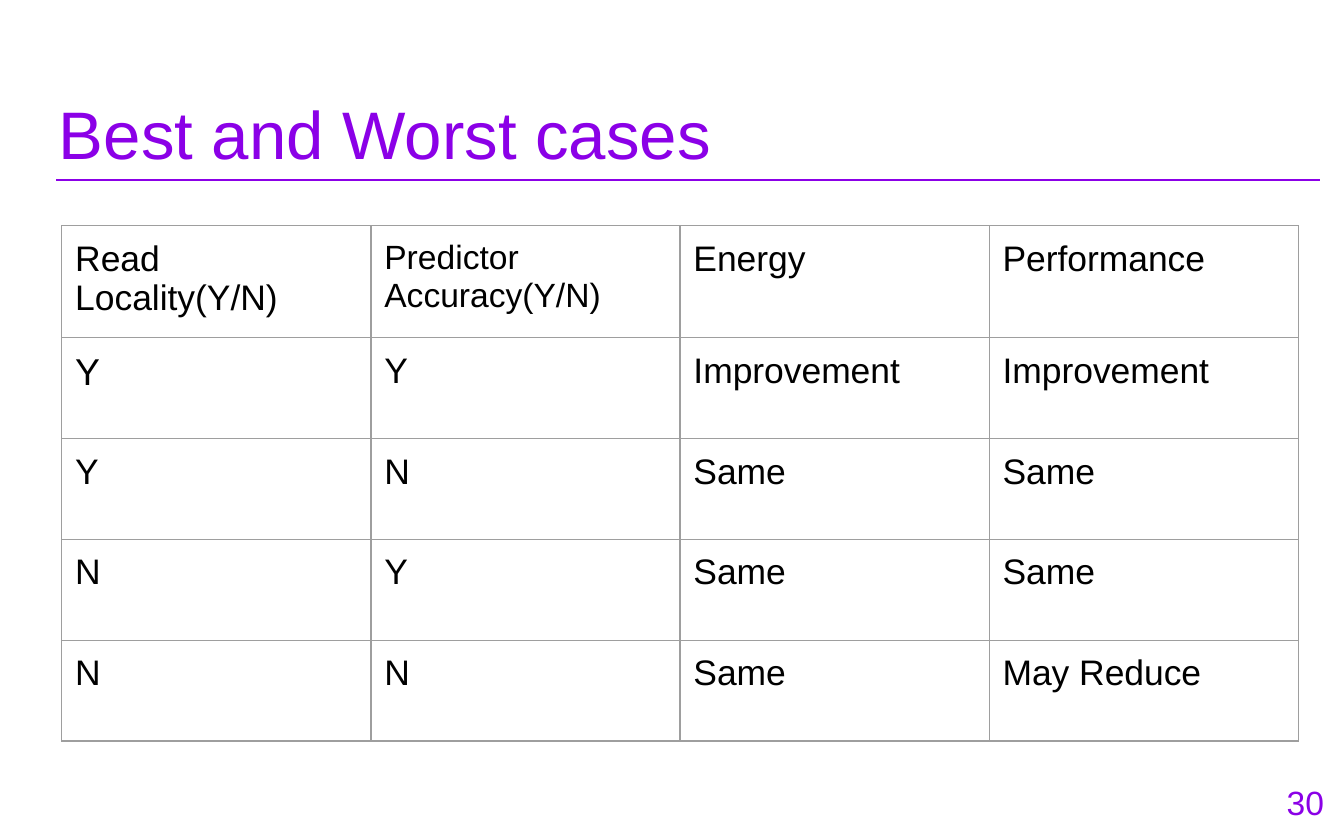
import pptx
import pptx.dml.color
import pptx.enum.shapes
import pptx.enum.text
import pptx.oxml.ns
import pptx.util
from lxml import etree

COLORS = {"accent": "8B00E7", "text": "000000", "grid": "9E9E9E"}
FONT = "Arial"
WIDTH, HEIGHT = 10, 6.25
INSET = 0.1

TITLE = "Best and Worst cases"
PAGE_NUMBER = "30"
ROWS = [
    ["Read Locality(Y/N)", "Predictor Accuracy(Y/N)", "Energy", "Performance"],
    ["Y", "Y", "Improvement", "Improvement"],
    ["Y", "N", "Same", "Same"],
    ["N", "Y", "Same", "Same"],
    ["N", "N", "Same", "May Reduce"],
]
CELL_SIZE = 19
SPECIAL_SIZES = {(0, 1): 18, (1, 0): 20}

TABLE_LEFT, TABLE_TOP = 0.46, 1.68
COLUMN_WIDTH, ROW_HEIGHT = 2.3, 0.75
RULE_LEFT, RULE_RIGHT, RULE_TOP = 0.42, 9.82, 1.34


def inches(*values):
    return [pptx.util.Inches(value) for value in values]


def rgb(name):
    return pptx.dml.color.RGBColor.from_string(COLORS[name])


def write(paragraph, text, size, color):
    run = paragraph.add_run()
    run.text = text
    run.font.name = FONT
    run.font.size = pptx.util.Pt(size)
    run.font.color.rgb = rgb(color)


def set_margins(target, top=INSET, bottom=INSET):
    target.margin_left = target.margin_right = pptx.util.Inches(INSET)
    target.margin_top = pptx.util.Inches(top)
    target.margin_bottom = pptx.util.Inches(bottom)


def add_text_box(slide, box, text, size):
    frame = slide.shapes.add_textbox(*inches(*box)).text_frame
    frame.word_wrap = True
    set_margins(frame)
    write(frame.paragraphs[0], text, size, "accent")
    return frame


def add_borders(cell, points=0.75):
    properties = cell._tc.get_or_add_tcPr()
    qn = pptx.oxml.ns.qn
    for index, side in enumerate(("a:lnL", "a:lnR", "a:lnT", "a:lnB")):
        line = etree.Element(qn(side), w=str(pptx.util.Pt(points)))
        fill = etree.SubElement(line, qn("a:solidFill"))
        etree.SubElement(fill, qn("a:srgbClr"), val=COLORS["grid"])
        properties.insert(index, line)


def add_rule(slide):
    rule = slide.shapes.add_connector(
        pptx.enum.shapes.MSO_CONNECTOR.STRAIGHT,
        *inches(RULE_LEFT, RULE_TOP, RULE_RIGHT, RULE_TOP))
    rule.line.color.rgb = rgb("accent")
    rule.line.width = pptx.util.Pt(1.5)
    etree.SubElement(rule._element.spPr, pptx.oxml.ns.qn("a:effectLst"))


def add_case_table(slide):
    row_count, column_count = len(ROWS), len(ROWS[0])
    table = slide.shapes.add_table(
        row_count, column_count,
        *inches(TABLE_LEFT, TABLE_TOP,
                column_count * COLUMN_WIDTH, row_count * ROW_HEIGHT)).table
    table.first_row = table.horz_banding = False
    for row, texts in enumerate(ROWS):
        for column, text in enumerate(texts):
            cell = table.cell(row, column)
            cell.fill.background()
            set_margins(cell)
            add_borders(cell)
            size = SPECIAL_SIZES.get((row, column), CELL_SIZE)
            write(cell.text_frame.paragraphs[0], text, size, "text")


def main():
    presentation = pptx.Presentation()
    presentation.slide_width, presentation.slide_height = inches(WIDTH, HEIGHT)
    slide = presentation.slides.add_slide(presentation.slide_layouts[6])

    add_rule(slide)
    title = add_text_box(slide, (0.34, 0.53, 9.32, 0.7), TITLE, 36)
    set_margins(title, top=0.16, bottom=0)
    number = add_text_box(slide, (9.25, 5.73, 0.7, 0.48), PAGE_NUMBER, 18)
    number.vertical_anchor = pptx.enum.text.MSO_ANCHOR.MIDDLE
    number.paragraphs[0].alignment = pptx.enum.text.PP_ALIGN.RIGHT
    add_case_table(slide)

    presentation.save("out.pptx")


if __name__ == "__main__":
    main()
